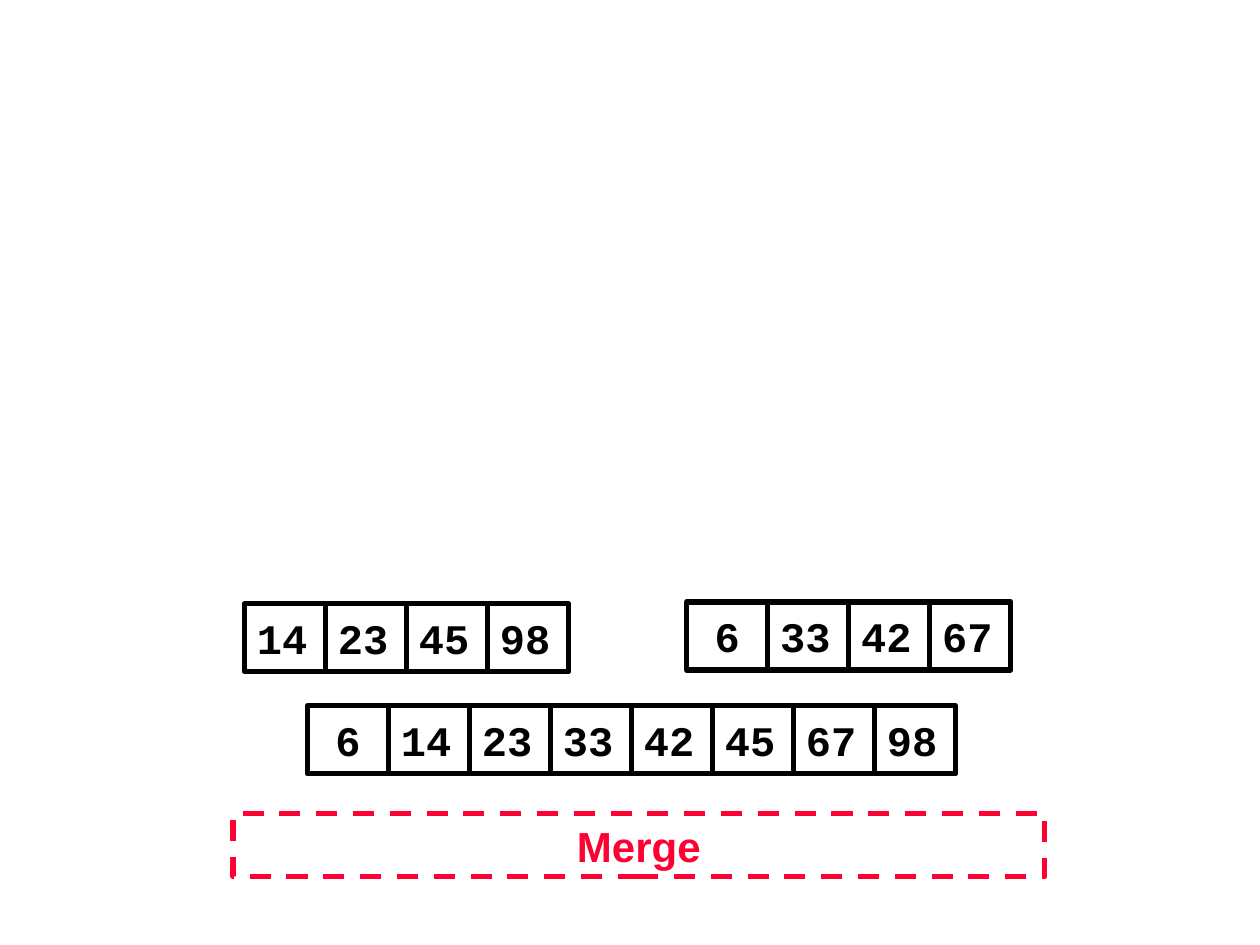
import pptx
import pptx.util
import pptx.dml.color
import pptx.enum.dml
import pptx.enum.shapes
import pptx.enum.text

BLACK = pptx.dml.color.RGBColor(0x00, 0x00, 0x00)
RED = pptx.dml.color.RGBColor(0xFF, 0x00, 0x33)
WIDE, HIGH = pptx.util.Inches(10), pptx.util.Inches(7.5)
CELL_W, CELL_H = 0.0643, 0.072
ALIGN = pptx.enum.text.PP_ALIGN


def add_box(slide, box, text, font, color, align, wrap):
    """Draw an outlined box with bold text; box holds shares of the slide."""
    left, top, width, height = box
    rect = slide.shapes.add_shape(
        pptx.enum.shapes.MSO_SHAPE.RECTANGLE,
        round(left * WIDE), round(top * HIGH), round(width * WIDE), round(height * HIGH))
    rect.shadow.inherit = False
    rect.fill.background()
    rect.line.color.rgb = color
    rect.line.width = pptx.util.Pt(3)
    frame = rect.text_frame
    frame.word_wrap = wrap
    frame.vertical_anchor = pptx.enum.text.MSO_ANCHOR.MIDDLE
    para = frame.paragraphs[0]
    para.alignment = align
    para.space_before = pptx.util.Pt(4.8)
    run = para.add_run()
    run.text = text
    run.font.name = font
    run.font.size = pptx.util.Pt(24)
    run.font.bold = True
    run.font.color.rgb = color
    return rect


def add_list(slide, left, top, nums):
    """Draw a row of touching number cells from the given corner."""
    for col, num in enumerate(nums):
        align = ALIGN.CENTER if num < 10 else ALIGN.LEFT
        box = (left + col * CELL_W, top, CELL_W, CELL_H)
        add_box(slide, box, str(num), "Courier New", BLACK, align, False)


def add_step(slide, box, name):
    """Draw the dashed banner that names the current step."""
    rect = add_box(slide, box, name, "Arial", RED, ALIGN.CENTER, True)
    rect.line.dash_style = pptx.enum.dml.MSO_LINE.DASH


def main():
    """Build the merge slide and save it."""
    deck = pptx.Presentation()
    deck.slide_width, deck.slide_height = WIDE, HIGH
    slide = deck.slides.add_slide(deck.slide_layouts[6])
    left, right = [14, 23, 45, 98], [6, 33, 42, 67]
    add_step(slide, (0.185, 0.861, 0.644, 0.067), "Merge")
    add_list(slide, 0.194, 0.639, left)
    add_list(slide, 0.545, 0.637, right)
    add_list(slide, 0.244, 0.747, sorted(left + right))
    deck.save("out.pptx")


if __name__ == "__main__":
    main()
